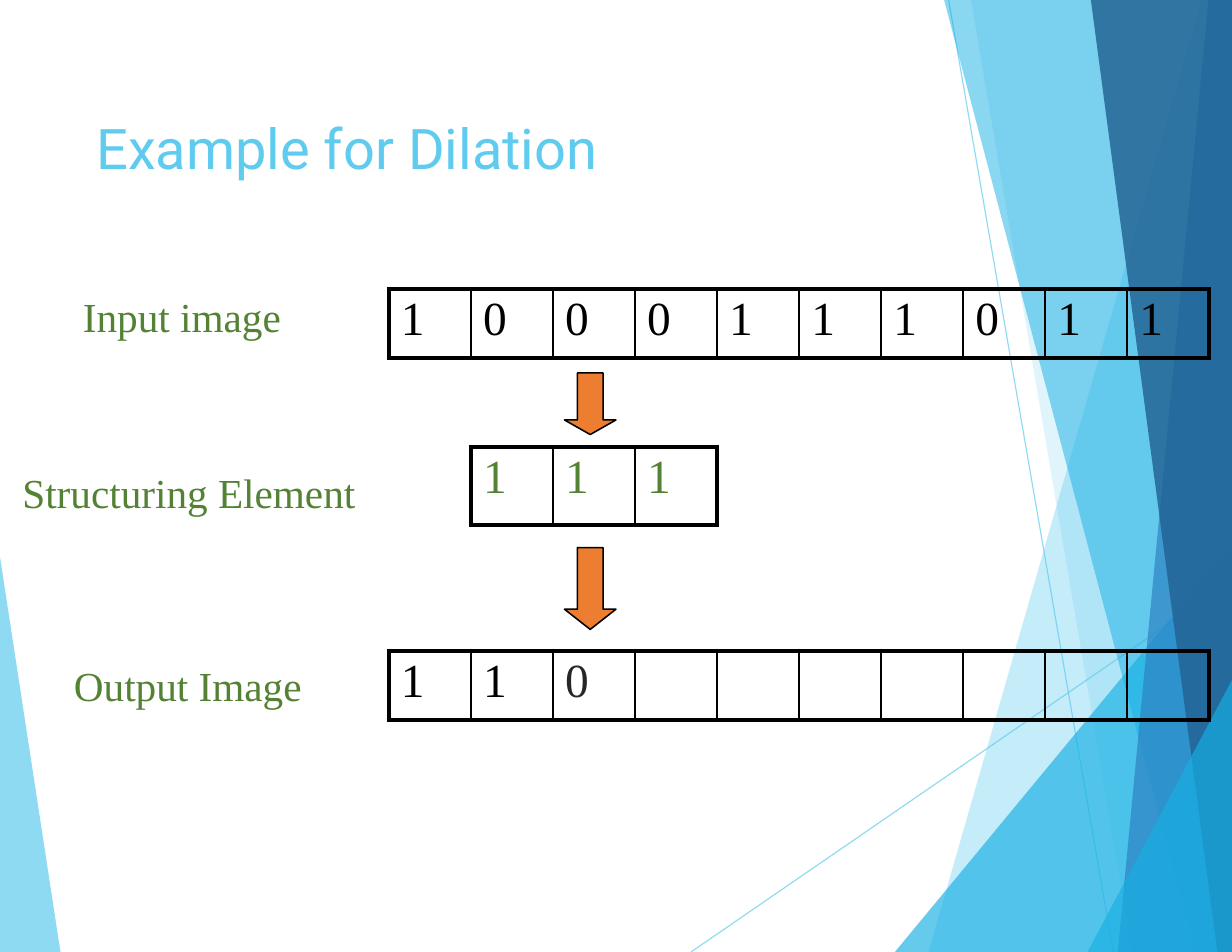
"""Build the slide that walks through a one-row binary dilation example."""
from dataclasses import dataclass

from lxml.etree import SubElement
from pptx import Presentation
from pptx.dml.color import RGBColor
from pptx.enum.shapes import MSO_CONNECTOR as Connector, MSO_SHAPE as Preset
from pptx.oxml.ns import qn
from pptx.slide import Slide
from pptx.util import Emu, Inches, Pt

WIDTH, HEIGHT = Inches(11), Inches(8.5)
GRID_COLUMNS, GRID_ROWS = 11, 8.5
CELL_WIDTH = 0.733
STRIP_LEFT = 3.47

BLACK = RGBColor(0x00, 0x00, 0x00)
CHARCOAL = RGBColor(0x26, 0x26, 0x26)
SKY = RGBColor(0x5F, 0xCB, 0xEF)
CYAN = RGBColor(0x17, 0xB0, 0xE4)
BLUE = RGBColor(0x2E, 0x83, 0xC3)
NAVY = RGBColor(0x22, 0x62, 0x92)
GREEN = RGBColor(0x54, 0x82, 0x35)
ORANGE = RGBColor(0xED, 0x7D, 0x31)

SERIF, SANS = "Times New Roman", "Roboto"
DIGIT_SIZE, LABEL_SIZE, TITLE_SIZE = Pt(30.5), Pt(26.5), Pt(36)
THICK, THIN = Pt(3), Pt(1.5)


@dataclass(frozen=True)
class Panel:
    """A translucent polygon given by its grid corners."""
    corners: tuple[tuple[float, float], ...]
    color: RGBColor
    opacity: int


@dataclass(frozen=True)
class Ray:
    """A thin decorative line between two grid points."""
    start: tuple[float, float]
    end: tuple[float, float]


@dataclass(frozen=True)
class Line:
    """One line of text with its indent and the space above it."""
    text: str
    indent: float = 0.01
    space_before: float = 0.9


@dataclass(frozen=True)
class TextBlock:
    """A text box at a grid position."""
    left: float
    top: float
    width: float
    height: float
    lines: tuple[Line, ...]
    size: Pt = LABEL_SIZE
    font: str = SERIF
    color: RGBColor = GREEN


@dataclass(frozen=True)
class Strip:
    """A row of pixel cells starting at a given cell column."""
    first_column: int
    top: float
    height: float
    digits: str
    colors: tuple[RGBColor, ...]


@dataclass(frozen=True)
class Arrow:
    """A downward arrow with the height of its head."""
    top: float
    height: float
    head: float


LEFT_PANEL = Panel(((0, 4.97), (0.54, 8.5), (0, 8.5)), SKY, 70)
RAYS = (Ray((6.17, 8.5), (11, 5.18)), Ray((8.47, 0), (9.94, 8.5)))
RIGHT_PANELS = (
    Panel(((10.73, 0), (8.29, 8.5), (11, 8.5), (11, 0)), SKY, 36),
    Panel(((8.67, 0), (10.11, 8.5), (11, 8.5), (11, 0)), SKY, 20),
    Panel(((7.99, 8.5), (11, 4.86), (11, 8.5)), CYAN, 66),
    Panel(((8.43, 0), (10.67, 8.5), (11, 8.5), (11, 0)), CYAN, 50),
    Panel(((10.79, 0), (9.98, 8.5), (11, 8.5), (11, 0)), BLUE, 70),
    Panel(((9.74, 0), (10.87, 8.5), (11, 8.5), (11, 0)), NAVY, 82),
    Panel(((9.71, 8.5), (11, 6.07), (11, 8.5)), CYAN, 66),
)
TEXT_BLOCKS = (
    TextBlock(0.85, 1, 6.56, 0.63, (Line("Example for Dilation", 0.01, 1.4),), TITLE_SIZE, SANS, SKY),
    TextBlock(0.19, 2.59, 2.99, 1.98, (Line("Input image", 0.55), Line("Structuring Element", 0.01, 81.4))),
    TextBlock(0.65, 5.89, 2.05, 0.47, (Line("Output Image"),)),
)
STRIPS = (
    Strip(0, 2.58, 0.62, "1000111011", (BLACK,) * 10),
    Strip(1, 3.99, 0.7, "111", (GREEN,) * 3),
    Strip(0, 5.81, 0.62, "110".ljust(10), (BLACK, BLACK) + (CHARCOAL,) * 8),
)
ARROWS = (Arrow(3.33, 0.55, 0.13), Arrow(4.89, 0.73, 0.18))
ARROW_LEFT, ARROW_WIDTH = 5.04, 0.46


def across(columns: float) -> Emu:
    """Convert grid columns to a horizontal length."""
    return Emu(round(WIDTH * columns / GRID_COLUMNS))


def down(rows: float) -> Emu:
    """Convert grid rows to a vertical length."""
    return Emu(round(HEIGHT * rows / GRID_ROWS))


def set_opacity(shape, percent: int) -> None:
    """Make the shape's solid colour translucent."""
    for color in shape.element.spPr.iter(qn("a:srgbClr")):
        SubElement(color, qn("a:alpha"), val=str(percent * 1000))


def draw_panel(slide: Slide, panel: Panel) -> None:
    """Draw one translucent polygon."""
    first, *others = [(across(x), down(y)) for x, y in panel.corners]
    builder = slide.shapes.build_freeform(*first)
    builder.add_line_segments(others)
    shape = builder.convert_to_shape()
    shape.shadow.inherit = False
    shape.fill.solid()
    shape.fill.fore_color.rgb = panel.color
    shape.line.fill.background()
    set_opacity(shape, panel.opacity)


def draw_ray(slide: Slide, ray: Ray) -> None:
    """Draw one thin translucent line."""
    ends = [length for x, y in (ray.start, ray.end) for length in (across(x), down(y))]
    connector = slide.shapes.add_connector(Connector.STRAIGHT, *ends)
    connector.line.color.rgb = SKY
    connector.line.width = Pt(0.75)
    set_opacity(connector, 70)
    SubElement(connector.element.spPr, qn("a:effectLst"))


def add_run(paragraph, text: str, size: Pt, font: str, color: RGBColor) -> None:
    """Add one formatted run to a paragraph."""
    run = paragraph.add_run()
    run.text = text
    run.font.size, run.font.name = size, font
    run.font.color.rgb = color


def draw_text(slide: Slide, block: TextBlock) -> None:
    """Draw a text box line by line."""
    shape = slide.shapes.add_textbox(across(block.left), down(block.top), across(block.width), down(block.height))
    frame = shape.text_frame
    frame.word_wrap = True
    frame.margin_left = frame.margin_right = frame.margin_bottom = 0
    frame.margin_top = down(0.01)
    for index, line in enumerate(block.lines):
        paragraph = frame.add_paragraph() if index else frame.paragraphs[0]
        paragraph.space_before = Pt(line.space_before)
        add_run(paragraph, line.text, block.size, block.font, block.color)
        paragraph._p.get_or_add_pPr().set("marL", str(across(line.indent)))


def set_border(cell, side: str, width: Pt) -> None:
    """Give one side of a cell a black border."""
    border = SubElement(cell._tc.get_or_add_tcPr(), qn(f"a:ln{side}"), w=str(width))
    fill = SubElement(border, qn("a:solidFill"))
    SubElement(fill, qn("a:srgbClr"), val=str(BLACK))


def draw_strip(slide: Slide, strip: Strip) -> None:
    """Draw a row of pixels as a table with a thick frame."""
    count = len(strip.digits)
    left = across(STRIP_LEFT + strip.first_column * CELL_WIDTH)
    frame = slide.shapes.add_table(1, count, left, down(strip.top), across(count * CELL_WIDTH), down(strip.height))
    table = frame.table
    table.first_row = table.horz_banding = False
    for index, (digit, color) in enumerate(zip(strip.digits, strip.colors)):
        cell = table.cell(0, index)
        cell.margin_left, cell.margin_top = across(0.11), down(0.04)
        cell.margin_right = cell.margin_bottom = 0
        set_border(cell, "L", THIN if index else THICK)
        set_border(cell, "R", THIN if index < count - 1 else THICK)
        set_border(cell, "T", THICK)
        set_border(cell, "B", THICK)
        cell.fill.background()
        if digit.strip():
            paragraph = cell.text_frame.paragraphs[0]
            paragraph.space_before = Pt(3.1)
            add_run(paragraph, digit, DIGIT_SIZE, SERIF, color)


def draw_arrow(slide: Slide, arrow: Arrow) -> None:
    """Draw one orange arrow pointing down."""
    shape = slide.shapes.add_shape(
        Preset.DOWN_ARROW, across(ARROW_LEFT), down(arrow.top), across(ARROW_WIDTH), down(arrow.height))
    shape.adjustments[0], shape.adjustments[1] = 0.5, arrow.head / ARROW_WIDTH
    shape.shadow.inherit = False
    shape.fill.solid()
    shape.fill.fore_color.rgb = ORANGE
    shape.line.color.rgb = BLACK
    shape.line.width = Pt(1)


def main() -> None:
    """Assemble the slide and save it."""
    presentation = Presentation()
    presentation.slide_width, presentation.slide_height = WIDTH, HEIGHT
    slide = presentation.slides.add_slide(presentation.slide_layouts[6])
    draw_panel(slide, LEFT_PANEL)
    for draw, items in ((draw_ray, RAYS), (draw_panel, RIGHT_PANELS), (draw_text, TEXT_BLOCKS),
                        (draw_strip, STRIPS), (draw_arrow, ARROWS)):
        for item in items:
            draw(slide, item)
    presentation.save("out.pptx")


if __name__ == "__main__":
    main()
